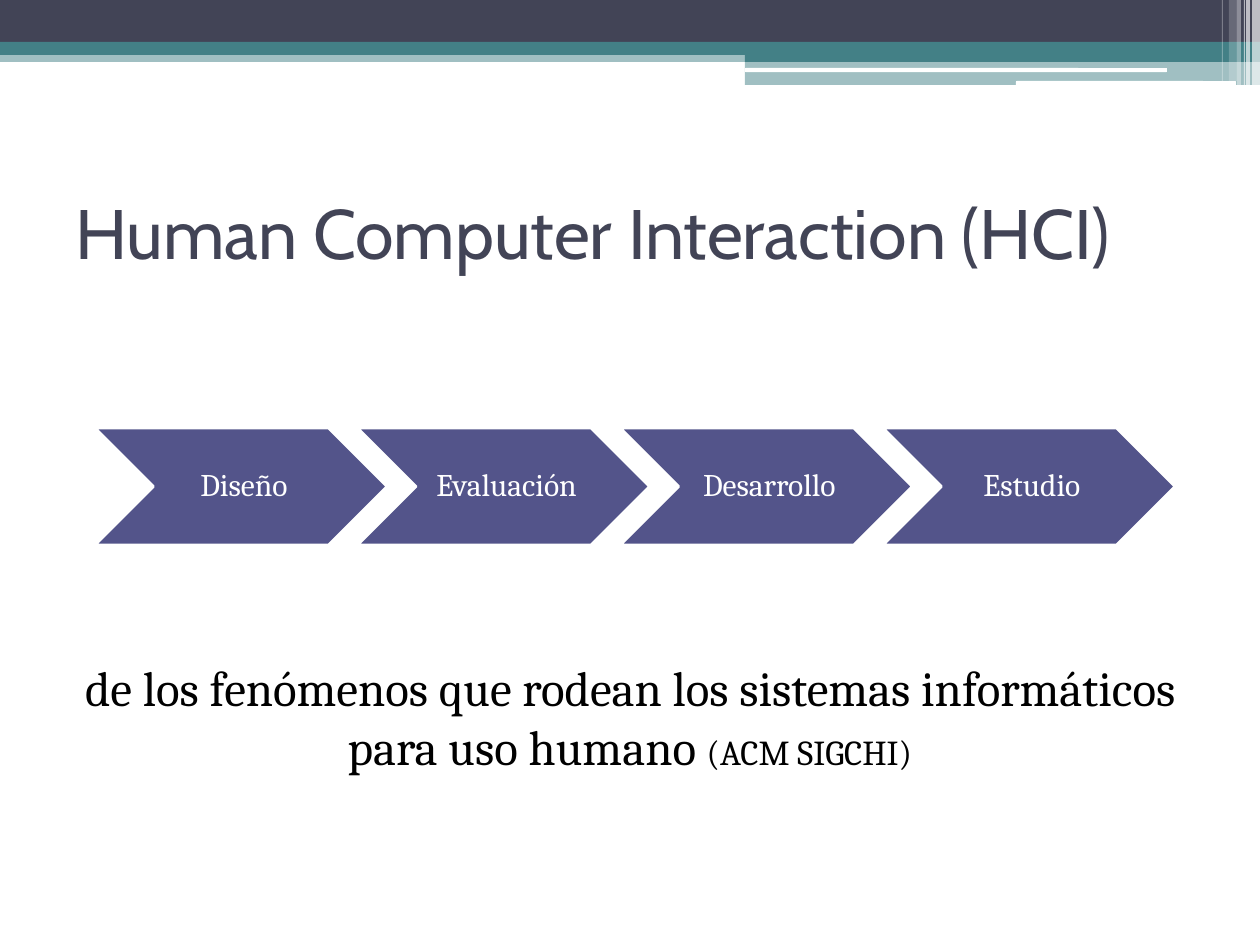
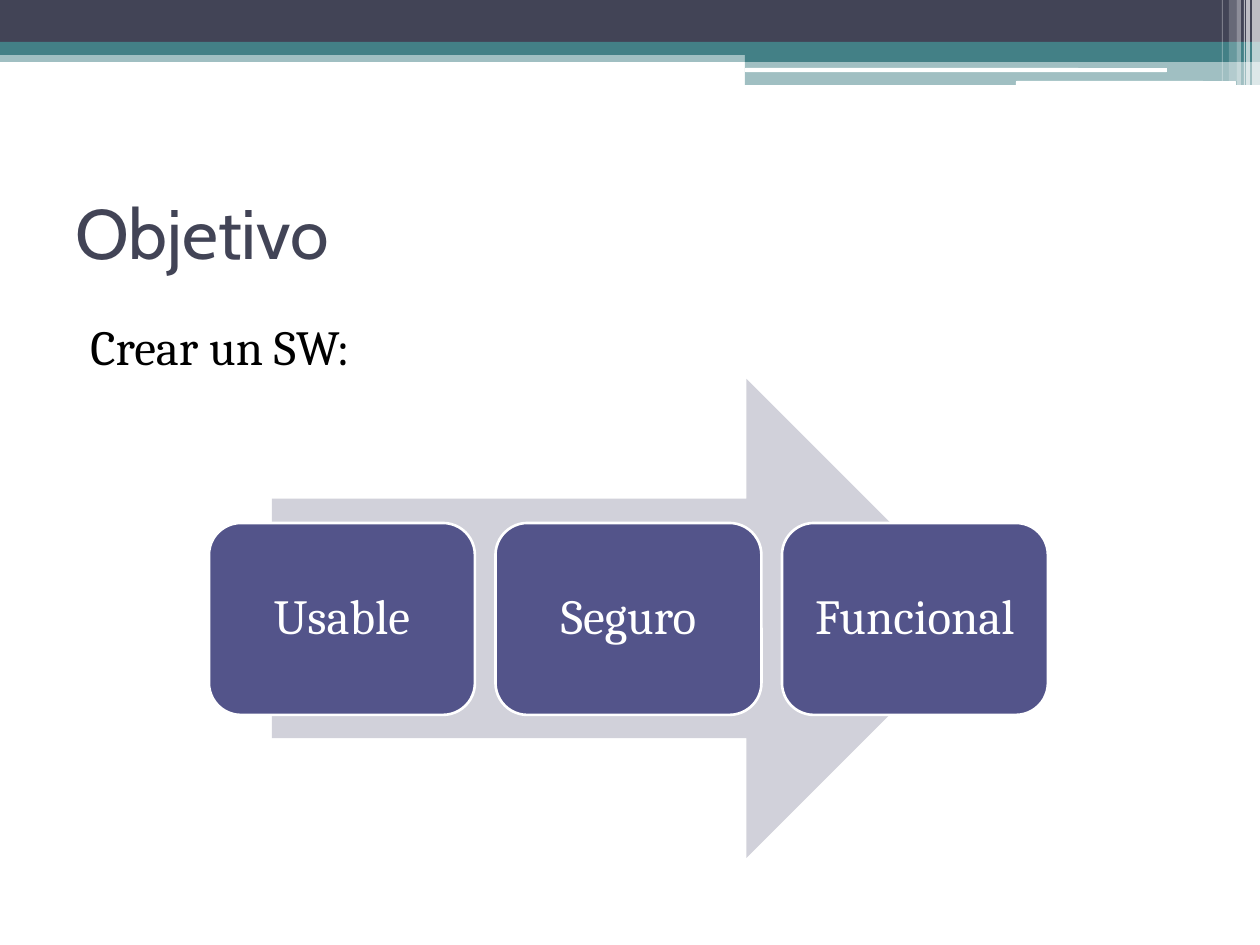
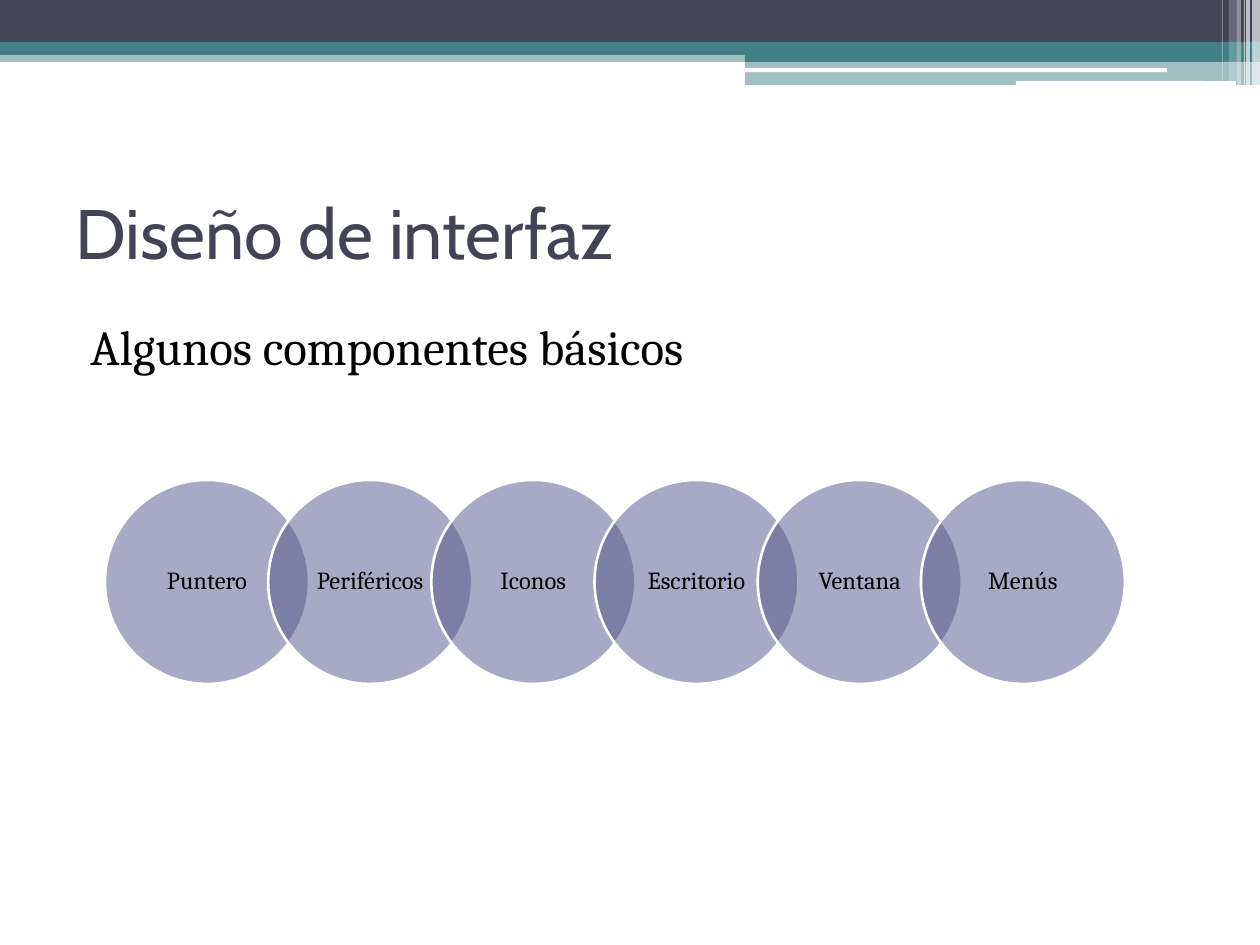
"""Build three slides on human-computer interaction with a shared banded layout."""
from lxml import etree
from pptx import Presentation
from pptx.dml.color import RGBColor
from pptx.enum import shapes, text
from pptx.oxml.ns import qn
from pptx.util import Pt

PX = 914400 / 126
COLORS = {"slate": "424456", "teal": "438086", "indigo": "53548A",
          "mist": "D1D1DA", "white": "FFFFFF", "black": "000000"}
HEAD_FONT, BODY_FONT = "Cabin", "Cambria"
KIND, ALIGN, ANCHOR = shapes.MSO_SHAPE, text.PP_ALIGN, text.MSO_ANCHOR

TITLE_BOX = (63, 158, 1134, 147)
BANDS = [
    ((0, 50, 1260, 12), "teal", 50),
    ((0, 0, 1260, 42), "slate", 100),
    ((0, 42, 1260, 13), "teal", 100),
    ((745, 49, 515, 13), "teal", 100),
    ((745, 62, 515, 23), "teal", 50),
]
RULES = [(745, 68, 422, 4), (1016, 81, 220, 5)]
STRIPES = [(1252, 8, 85, 65), (1246, 4, 85, 65), (1244, 1, 85, 60),
           (1237, 4, 85, 40), (1229, 8, 81, 20), (1222, 1, 81, 30)]

SLIDES = [
    {"title": "Human Computer Interaction (HCI)",
     "body": [("de los fenómenos que rodean los sistemas informáticos para uso humano ", 28),
              ("(ACM SIGCHI)", 20)],
     "body_box": (63, 651, 1134, 159), "body_format": {"align": ALIGN.CENTER},
     "steps": ["Diseño", "Evaluación", "Desarrollo", "Estudio"],
     "row": {"kind": KIND.CHEVRON, "lefts": (95, 883), "top": 428, "size": (292, 117)},
     "step_format": {"size": 18, "insets": (10, 4, 4, 4)}},
    {"title": "Objetivo",
     "body": [("Crear un SW:", 28)],
     "body_box": (63, 310, 1134, 596), "body_format": {"indent": (50, -35)},
     "arrow": (272, 379, 714, 479),
     "steps": ["Usable", "Seguro", "Funcional"],
     "row": {"kind": KIND.ROUNDED_RECTANGLE, "lefts": (209, 782), "top": 523,
             "size": (266, 192)},
     "step_format": {"size": 28, "insets": (15, 15, 15, 15)}},
    {"title": "Diseño de interfaz",
     "body": [("Algunos componentes básicos", 28)],
     "body_box": (63, 310, 1134, 596), "body_format": {"indent": (50, -35)},
     "steps": ["Puntero", "Periféricos", "Iconos", "Escritorio", "Ventana", "Menús"],
     "row": {"kind": KIND.OVAL, "lefts": (105, 921), "top": 480, "size": (204, 204),
             "opacity": 50},
     "step_format": {"size": 14, "color": "black", "insets": (11, 3, 11, 3)}},
]


def emu(*lengths):
    return [round(n * PX) for n in lengths]


def rgb(name):
    return RGBColor.from_string(COLORS[name])


def add_shape(slide, kind, box, color, opacity=100, outline=None):
    sp = slide.shapes.add_shape(kind, *emu(*box))
    sp.shadow.inherit = False
    sp.fill.solid()
    sp.fill.fore_color.rgb = rgb(color)
    if opacity < 100:
        clr = sp.element.spPr.find(f".//{qn('a:srgbClr')}")
        etree.SubElement(clr, qn("a:alpha")).set("val", str(opacity * 1000))
    if outline:
        sp.line.color.rgb = rgb(outline)
        sp.line.width = Pt(1.5)
    else:
        sp.line.fill.background()
    return sp


def write(sp, runs, font=BODY_FONT, color="black", align=ALIGN.LEFT, anchor=ANCHOR.TOP,
          spacing=None, insets=None, indent=None):
    tf = sp.text_frame
    tf.word_wrap = True
    tf.auto_size = text.MSO_AUTO_SIZE.NONE
    tf.vertical_anchor = anchor
    if insets:
        tf.margin_left, tf.margin_top, tf.margin_right, tf.margin_bottom = emu(*insets)
    p = tf.paragraphs[0]
    p.alignment = align
    if spacing:
        p.line_spacing = spacing
    if indent:
        for name, length in zip(("marL", "indent"), emu(*indent)):
            p._p.get_or_add_pPr().set(name, str(length))
    for words, size in runs:
        r = p.add_run()
        r.text = words
        r.font.name, r.font.size, r.font.color.rgb = font, Pt(size), rgb(color)


def add_bands(slide, layout):
    parts = [add_shape(slide, KIND.RECTANGLE, *band) for band in BANDS]
    parts += [add_shape(slide, KIND.ROUNDED_RECTANGLE, box, "white") for box in RULES]
    parts += [add_shape(slide, KIND.RECTANGLE, (left, 0, width, height), "white", opacity)
              for left, width, height, opacity in STRIPES]
    for sp in parts:
        layout.shapes.element.append(sp.element)


def add_steps(slide, steps, row, size, color="white", insets=None):
    first, last = row["lefts"]
    pitch = (last - first) / (len(steps) - 1)
    for i, step in enumerate(steps):
        box = (first + i * pitch, row["top"], *row["size"])
        sp = add_shape(slide, row["kind"], box, "indigo", row.get("opacity", 100), "white")
        write(sp, [(step, size)], color=color, align=ALIGN.CENTER, anchor=ANCHOR.MIDDLE,
              spacing=0.9, insets=insets)


def add_slide(prs, layout, content):
    slide = prs.slides.add_slide(layout)
    title = slide.shapes.title
    title.left, title.top, title.width, title.height = emu(*TITLE_BOX)
    write(title, [(content["title"], 40)], font=HEAD_FONT, color="slate", anchor=ANCHOR.MIDDLE)
    body = slide.shapes.add_textbox(*emu(*content["body_box"]))
    write(body, content["body"], **content["body_format"])
    if "arrow" in content:
        add_shape(slide, KIND.RIGHT_ARROW, content["arrow"], "mist")
    add_steps(slide, content["steps"], content["row"], **content["step_format"])
    return slide


def main():
    prs = Presentation()
    prs.slide_width, prs.slide_height = emu(1260, 945)
    layout = prs.slide_layouts[5]
    built = [add_slide(prs, layout, content) for content in SLIDES]
    add_bands(built[0], layout)
    prs.save("out.pptx")


if __name__ == "__main__":
    main()
